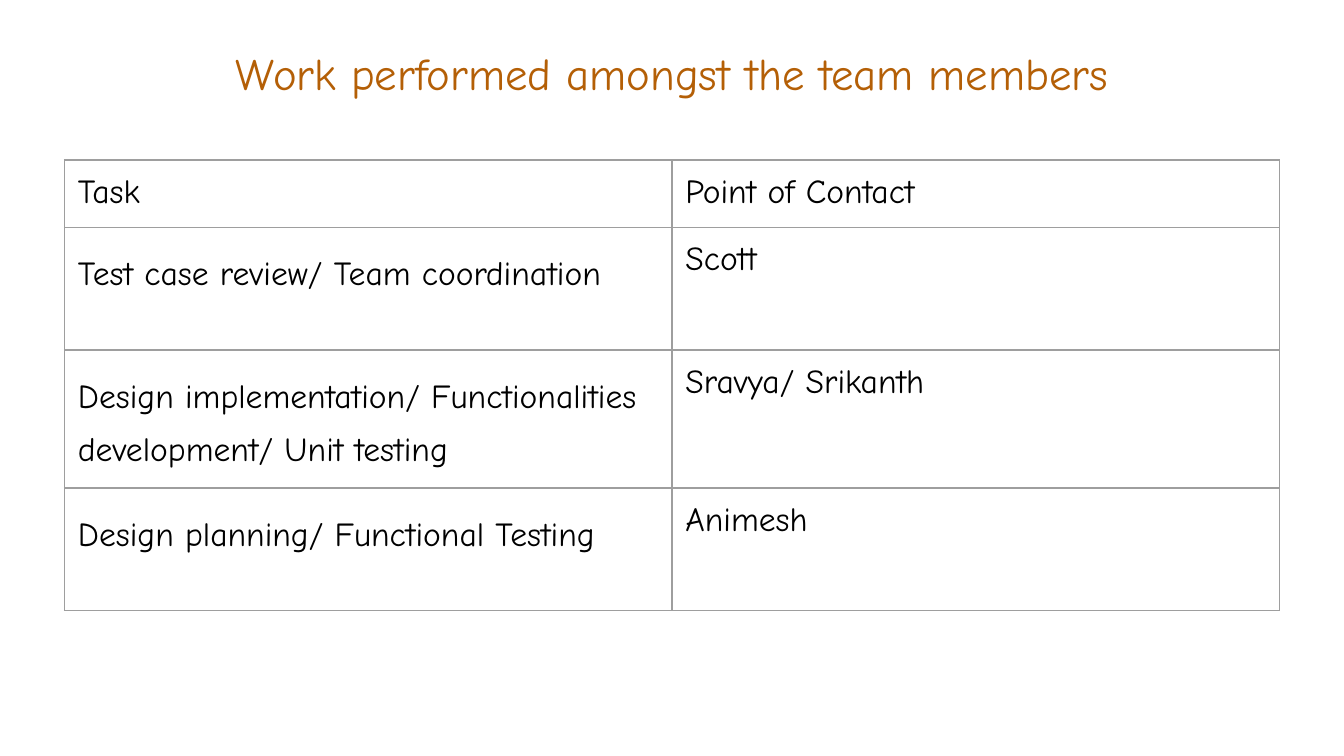
from lxml.etree import SubElement
from pptx import Presentation
from pptx.dml.color import RGBColor
from pptx.enum.text import MSO_ANCHOR as Anchor, MSO_AUTO_SIZE as AutoSize, PP_ALIGN as Align
from pptx.oxml.ns import qn
from pptx.util import Inches, Pt

COLORS = {"heading": "B45F06", "text": "000000", "border": "9E9E9E"}
FONT = "Comic Neue"
MARGIN = Inches(0.1)
SLIDE_WIDTH = 10
SLIDE_HEIGHT = SLIDE_WIDTH * 9 / 16
HEADERS = ("Task", "Point of Contact")
ASSIGNMENTS = [
    ("Test case review/ Team coordination", "Scott", Align.JUSTIFY),
    ("Design implementation/ Functionalities development/ Unit testing", "Sravya/ Srikanth", Align.LEFT),
    ("Design planning/ Functional Testing", "Animesh", Align.JUSTIFY),
]


def style_font(paragraph, size, color):
    font = paragraph.font
    font.name = FONT
    font.size = Pt(size)
    font.color.rgb = RGBColor.from_string(COLORS[color])


def set_margins(area):
    area.margin_left = area.margin_right = MARGIN
    area.margin_top = area.margin_bottom = MARGIN


def add_borders(cell):
    properties = cell._tc.get_or_add_tcPr()
    for position, side in enumerate(("lnL", "lnR", "lnT", "lnB")):
        line = SubElement(properties, qn(f"a:{side}"), w=str(Pt(0.75)))
        fill = SubElement(line, qn("a:solidFill"))
        SubElement(fill, qn("a:srgbClr"), val=COLORS["border"])
        properties.remove(line)
        properties.insert(position, line)


def fill_cell(cell, text):
    cell.fill.background()
    add_borders(cell)
    set_margins(cell)
    cell.vertical_anchor = Anchor.TOP
    cell.text = text
    paragraph = cell.text_frame.paragraphs[0]
    style_font(paragraph, 18, "text")
    return paragraph


def add_heading(slide, left, top, width, height):
    heading = slide.shapes.title
    heading.left, heading.top = Inches(left), Inches(top)
    heading.width, heading.height = Inches(width), Inches(height)
    frame = heading.text_frame
    frame.text = "Work performed amongst the team members"
    frame.word_wrap = True
    frame.auto_size = AutoSize.SHAPE_TO_FIT_TEXT
    frame.vertical_anchor = Anchor.TOP
    set_margins(frame)
    paragraph = frame.paragraphs[0]
    paragraph.alignment = Align.CENTER
    style_font(paragraph, 24, "heading")


def add_assignments(slide, left, top, width, height):
    header_height = 0.5
    task_height = (height - header_height) / len(ASSIGNMENTS)
    table = slide.shapes.add_table(
        len(ASSIGNMENTS) + 1, len(HEADERS),
        Inches(left), Inches(top), Inches(width), Inches(height),
    ).table
    table.first_row = table.horz_banding = False
    for column in table.columns:
        column.width = Inches(width / len(HEADERS))
    for row in table.rows:
        row.height = Inches(task_height)
    table.rows[0].height = Inches(header_height)

    for column, header in enumerate(HEADERS):
        fill_cell(table.cell(0, column), header)
    for row, (task, contact, alignment) in enumerate(ASSIGNMENTS, start=1):
        paragraph = fill_cell(table.cell(row, 0), task)
        paragraph.alignment = alignment
        paragraph.line_spacing = 1.38
        paragraph.space_before = Pt(12)
        fill_cell(table.cell(row, 1), contact)


def main():
    deck = Presentation()
    deck.slide_width, deck.slide_height = Inches(SLIDE_WIDTH), Inches(SLIDE_HEIGHT)
    slide = deck.slides.add_slide(deck.slide_layouts[5])
    add_heading(slide, 0, 0.24, SLIDE_WIDTH, 0.61)
    add_assignments(slide, 0.48, 1.19, 9.04, 3.24)
    deck.save("out.pptx")


if __name__ == "__main__":
    main()
